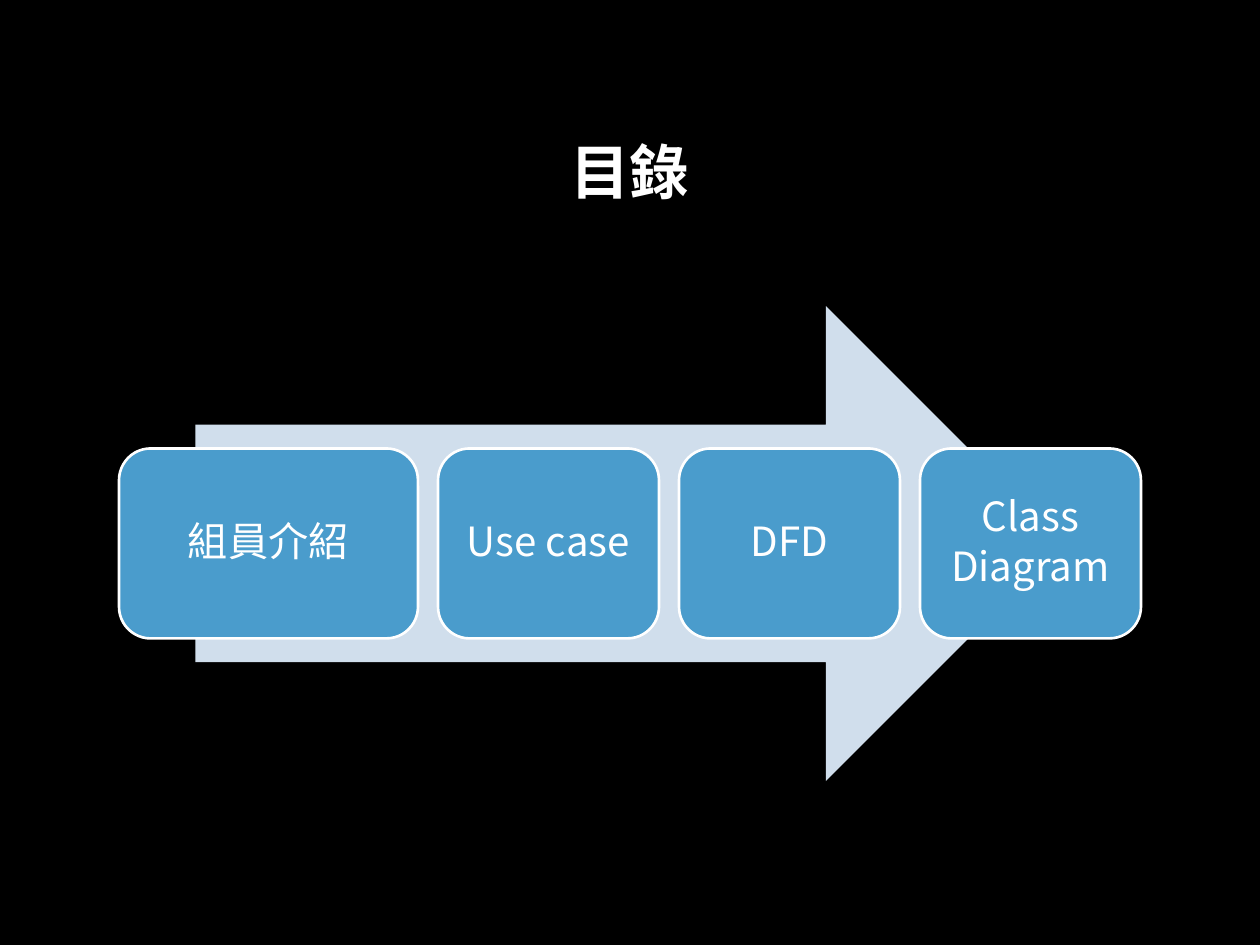
import dataclasses

import lxml.etree
import pptx
import pptx.dml.color
import pptx.enum.shapes
import pptx.enum.text
import pptx.oxml.ns
import pptx.util

PX = 914400 / 126  # EMU in one px
SHAPE = pptx.enum.shapes.MSO_SHAPE


@dataclasses.dataclass(frozen=True)
class Theme:
    background: str = "000000"
    text: str = "FFFFFF"
    arrow: str = "D0DEEC"
    step: str = "4A9CCC"
    outline: str = "FFFFFF"
    title_font: str = "Roboto Slab"
    body_font: str = "Noto Sans CJK SC"
    title_size: int = 34
    step_size: int = 23
    line_spacing: float = 0.9
    step_space_after: float = 3.5


THEME = Theme()


def px(n):
    return pptx.util.Emu(round(n * PX))


def rgb(value):
    return pptx.dml.color.RGBColor.from_string(value)


def put_text(sp, text, *, font, size, bold=False, inset=None, space_after=0):
    """Write centred text, one paragraph for each line."""
    tf = sp.text_frame
    tf.word_wrap = True
    tf.auto_size = pptx.enum.text.MSO_AUTO_SIZE.NONE
    tf.vertical_anchor = pptx.enum.text.MSO_ANCHOR.MIDDLE
    if inset is not None:
        tf.margin_left = tf.margin_right = px(inset)
        tf.margin_top = tf.margin_bottom = px(inset)
    for i, line in enumerate(text.split("\n")):
        p = tf.add_paragraph() if i else tf.paragraphs[0]
        p.alignment = pptx.enum.text.PP_ALIGN.CENTER
        p.line_spacing = THEME.line_spacing
        p.space_before = pptx.util.Pt(0)
        p.space_after = pptx.util.Pt(space_after)
        r = p.add_run()
        r.text = line
        r.font.name = font
        r.font.size = pptx.util.Pt(size)
        r.font.bold = bold
        r.font.color.rgb = rgb(THEME.text)
        # East Asian typeface
        ea = lxml.etree.SubElement(r._r.get_or_add_rPr(), pptx.oxml.ns.qn("a:ea"))
        ea.set("typeface", font)


def add_block(s, kind, x, y, w, h, fill, outline=None):
    sp = s.shapes.add_shape(kind, px(x), px(y), px(w), px(h))
    sp.shadow.inherit = False
    sp.fill.solid()
    sp.fill.fore_color.rgb = rgb(fill)
    if outline:
        sp.line.color.rgb = rgb(outline)
        sp.line.width = pptx.util.Pt(1.5)
    else:
        sp.line.fill.background()
    return sp


def add_title(s, text, x, y, w, h):
    sp = s.shapes.title
    sp.left, sp.top, sp.width, sp.height = px(x), px(y), px(w), px(h)
    put_text(sp, text, font=THEME.title_font, size=THEME.title_size, bold=True)


def add_process(s, steps, x, y, w, h, gap=20):
    """Place steps, as (text, width), in a row over a wide arrow."""
    # Background arrow
    arrow_w = round(w * 0.85)
    add_block(s, SHAPE.RIGHT_ARROW, x + (w - arrow_w) / 2, y, arrow_w, h, THEME.arrow)

    # Step boxes, centred on the arrow
    step_h = round(h * 0.4)
    step_y = y + (h - step_h) / 2
    for text, step_w in steps:
        sp = add_block(s, SHAPE.ROUNDED_RECTANGLE, x, step_y, step_w, step_h,
                       THEME.step, THEME.outline)
        put_text(sp, text, font=THEME.body_font, size=THEME.step_size,
                 inset=13, space_after=THEME.step_space_after)
        x += step_w + gap


def main():
    prs = pptx.Presentation()
    prs.slide_width, prs.slide_height = px(1260), px(945)
    s = prs.slides.add_slide(prs.slide_layouts[5])
    s.background.fill.solid()
    s.background.fill.fore_color.rgb = rgb(THEME.background)

    add_title(s, "目錄", 95, 84, 1070, 183)
    steps = [("組員介紹", 299), ("Use case", 221), ("DFD", 221), ("Class\nDiagram", 221)]
    add_process(s, steps, 119, 306, 1021, 475)
    prs.save("out.pptx")


if __name__ == "__main__":
    main()
